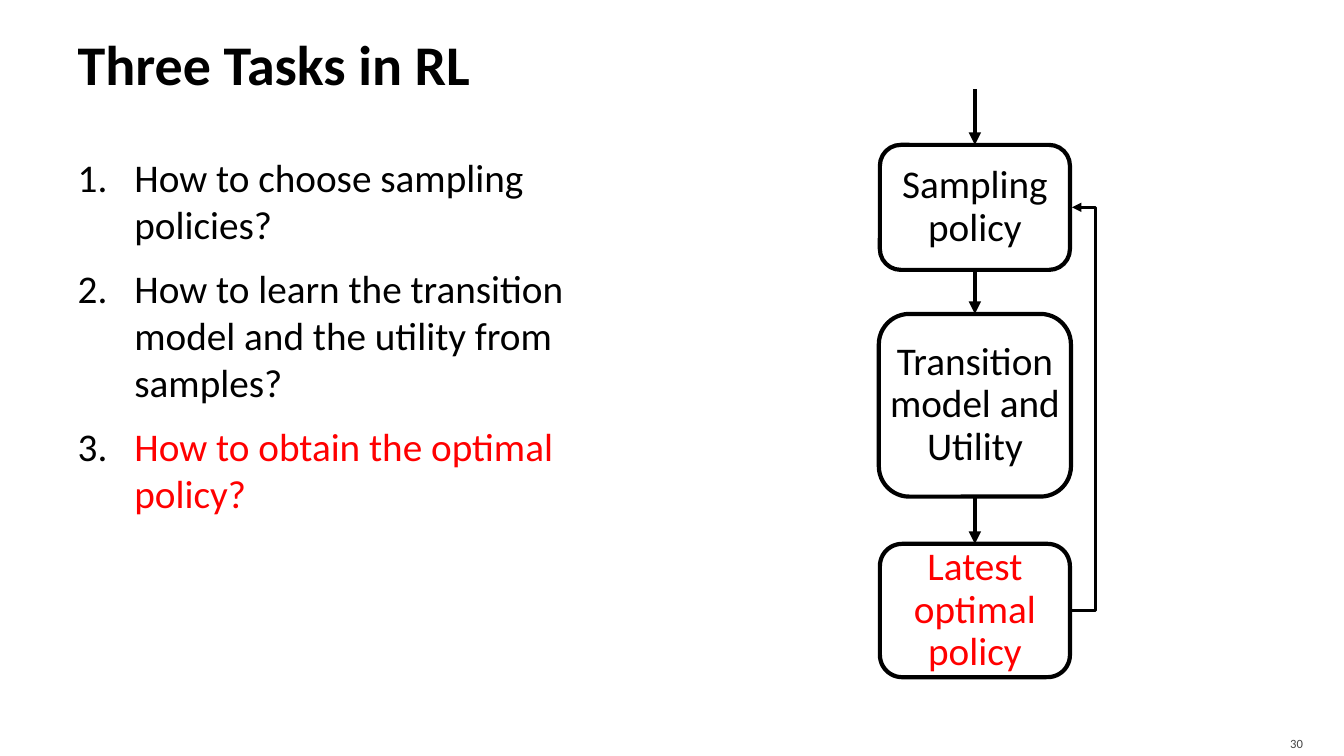
from lxml import etree
from pptx import Presentation
from pptx.dml.color import RGBColor
from pptx.enum.shapes import MSO_CONNECTOR as Link, MSO_SHAPE as Shape
from pptx.enum.text import MSO_ANCHOR as Anchor, MSO_AUTO_SIZE as AutoSize, PP_ALIGN as Align
from pptx.oxml.ns import qn
from pptx.util import Pt

PX = 9525
BLACK = RGBColor(0, 0, 0)
RED = RGBColor(255, 0, 0)
GRAY = RGBColor(0x45, 0x45, 0x45)
FONT = "Calibri"
TOP, RIGHT, BOTTOM = 0, 3, 2

TASKS = [
    ("How to choose sampling policies?", BLACK),
    ("How to learn the transition model and the utility from samples?", BLACK),
    ("How to obtain the optimal policy?", RED),
]
# Text, colour, left, top, width and height within the flow chart
STAGES = [
    ("Sampling policy", BLACK, 1, 53, 181, 119),
    ("Transition model and Utility", BLACK, 0, 214, 183, 174),
    ("Latest optimal policy", RED, 1, 433, 181, 127),
]


def px(*lengths):
    return [length * PX for length in lengths]


def set_frame(frame, insets, anchor=Anchor.TOP):
    frame.word_wrap = True
    frame.auto_size = AutoSize.NONE
    frame.vertical_anchor = anchor
    (frame.margin_left, frame.margin_top,
     frame.margin_right, frame.margin_bottom) = px(*insets)


def add_run(paragraph, text, size, color, bold=False):
    run = paragraph.add_run()
    run.text = text
    run.font.name = FONT
    run.font.size = Pt(size)
    run.font.bold = bold
    run.font.color.rgb = color


def add_number(paragraph, indent):
    props = paragraph._p.get_or_add_pPr()
    props.set("marL", str(indent * PX))
    props.set("indent", str(-indent * PX))
    color = etree.SubElement(props, qn("a:buClr"))
    etree.SubElement(color, qn("a:srgbClr"), val=str(BLACK))
    etree.SubElement(props, qn("a:buAutoNum"), type="arabicPeriod")


def add_arrow(slide, kind, start, end, width):
    arrow = slide.shapes.add_connector(kind, *start, *end)
    arrow.line.color.rgb = BLACK
    arrow.line.width = Pt(width)
    etree.SubElement(arrow.line._get_or_add_ln(), qn("a:tailEnd"), type="triangle")
    etree.SubElement(arrow._element.spPr, qn("a:effectLst"))
    return arrow


def add_title(slide, left, top, width, height):
    title = slide.shapes.title
    title.left, title.top, title.width, title.height = px(left, top, width, height)
    set_frame(title.text_frame, (10, 5, 5, 5), Anchor.MIDDLE)
    heading = title.text_frame.paragraphs[0]
    heading.alignment = Align.LEFT
    add_run(heading, "Three Tasks in RL", 40, BLACK, bold=True)


def add_tasks(slide, left, top, width, height):
    frame = slide.shapes.add_textbox(*px(left, top, width, height)).text_frame
    set_frame(frame, (10, 10, 10, 5))
    for index, (question, color) in enumerate(TASKS):
        task = frame.add_paragraph() if index else frame.paragraphs[0]
        add_number(task, 54)
        task.space_before = Pt(6 if index else 0)
        task.space_after = Pt(6)
        add_run(task, question, 28, color)


def add_stage(slide, text, color, left, top, width, height):
    stage = slide.shapes.add_shape(Shape.ROUNDED_RECTANGLE, *px(left, top, width, height))
    stage.shadow.inherit = False
    stage.fill.background()
    stage.line.color.rgb = BLACK
    stage.line.width = Pt(3)
    set_frame(stage.text_frame, (0, 0, 0, 0), Anchor.MIDDLE)
    label = stage.text_frame.paragraphs[0]
    label.alignment = Align.CENTER
    label.line_spacing = 0.9
    add_run(label, text, 28, color)
    return stage


def add_flow(slide, left, top):
    stages = [add_stage(slide, text, color, left + x, top + y, width, height)
              for text, color, x, y, width, height in STAGES]
    sampling, latest = stages[0], stages[-1]

    # Entry arrow and the arrows down the chain
    middle = sampling.left + sampling.width // 2
    entry = add_arrow(slide, Link.STRAIGHT, (middle, top * PX), (middle, sampling.top), 3)
    entry.end_connect(sampling, TOP)
    for upper, lower in zip(stages, stages[1:]):
        step = add_arrow(slide, Link.STRAIGHT, (middle, upper.top + upper.height),
                         (middle, lower.top), 3)
        step.begin_connect(upper, BOTTOM)
        step.end_connect(lower, TOP)

    # Feedback loop, bulging to the right of the chain
    gap, bulge = 2, 24
    edge = sampling.left + sampling.width
    loop = add_arrow(slide, Link.ELBOW, (edge, latest.top + latest.height // 2),
                     (edge + gap * PX, sampling.top + sampling.height // 2), 2.25)
    geometry = loop._element.spPr.find(qn("a:prstGeom"))
    guides = geometry.find(qn("a:avLst"))
    etree.SubElement(guides, qn("a:gd"), name="adj1", fmla=f"val {bulge * 100000 // gap}")


def add_page_number(slide, left, top, width, height):
    frame = slide.shapes.add_textbox(*px(left, top, width, height)).text_frame
    set_frame(frame, (10, 5, 10, 0), Anchor.MIDDLE)
    number = frame.paragraphs[0]
    number.alignment = Align.RIGHT
    add_run(number, "30", 9, GRAY)


def main():
    deck = Presentation()
    deck.slide_width, deck.slide_height = px(1280, 720)
    slide = deck.slides.add_slide(deck.slide_layouts[5])
    add_title(slide, 64, 16, 1152, 88)
    add_tasks(slide, 64, 136, 565, 578)
    add_flow(slide, 837, 85)
    add_page_number(slide, 1148, 691, 103, 29)
    deck.save("out.pptx")


if __name__ == "__main__":
    main()
